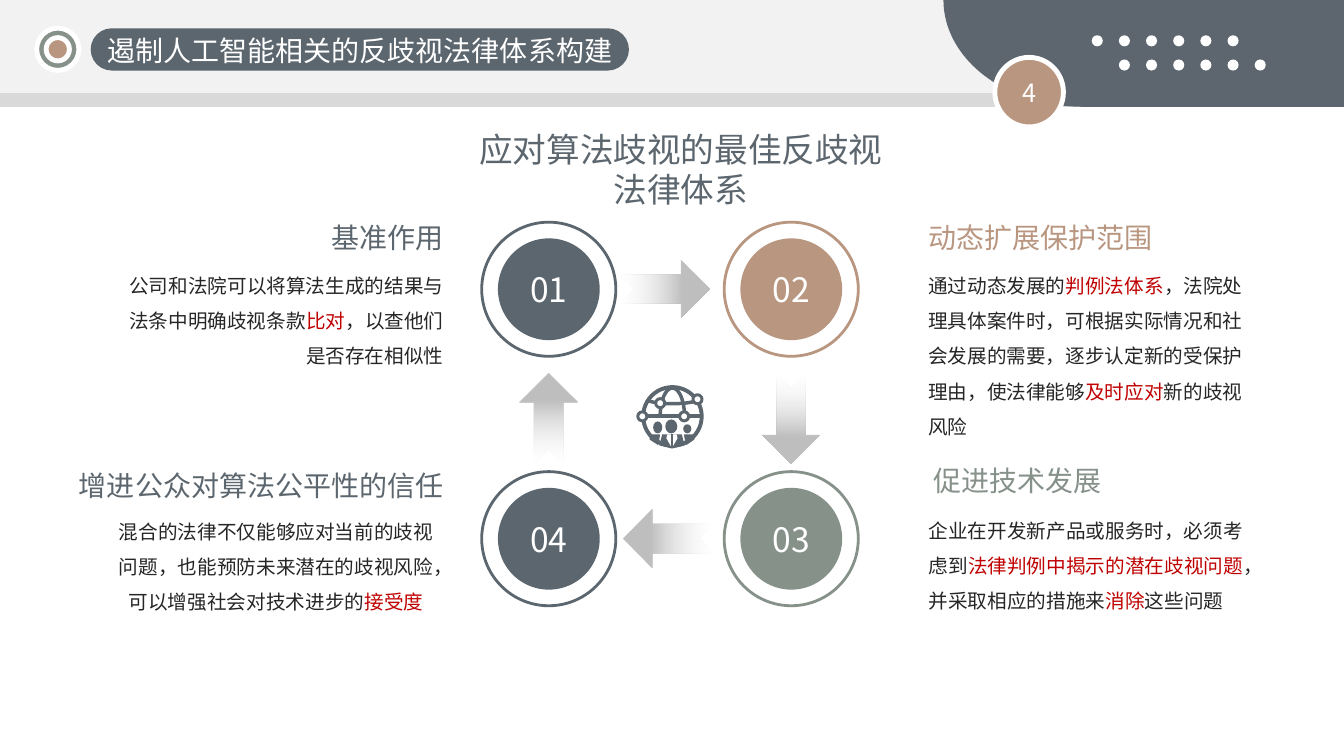
import math

from lxml import etree
from pptx import Presentation
from pptx.dml.color import RGBColor
from pptx.enum.shapes import MSO_SHAPE
from pptx.enum.text import MSO_ANCHOR, PP_ALIGN
from pptx.oxml.ns import qn
from pptx.util import Pt

OVAL, RECT, PILL = MSO_SHAPE.OVAL, MSO_SHAPE.RECTANGLE, MSO_SHAPE.ROUNDED_RECTANGLE
ARROW = MSO_SHAPE.NOTCHED_RIGHT_ARROW
LEFT, CENTER, RIGHT = PP_ALIGN.LEFT, PP_ALIGN.CENTER, PP_ALIGN.RIGHT
TOP, MIDDLE = MSO_ANCHOR.TOP, MSO_ANCHOR.MIDDLE

FONT = "Noto Sans CJK SC"
COLORS = {
    "slate": "5C666E", "corner": "5D666E", "tan": "B99680", "sage": "86918A",
    "white": "FFFFFF", "pale": "F2F2F2", "band": "D9D9D9", "ink": "262626",
    "red": "C00000", "arrow_tail": "F7F7F8", "arrow_head": "BFBFBF",
}

HEADER = "遏制人工智能相关的反歧视法律体系构建"
CHAPTER = "4"
TITLE = "应对算法歧视的最佳反歧视法律体系"

# heading, colour, heading box (left, top, width), heading alignment
HEADINGS = [
    ("基准作用", "slate", (169.9, 154.1, 154.1), RIGHT),
    ("动态扩展保护范围", "tan", (655.9, 154.1, 201.6), LEFT),
    ("促进技术发展", "sage", (659.5, 327.6, 225.4), LEFT),
    ("增进公众对算法公平性的信任", "slate", (35.3, 331.2, 288.7), RIGHT),
]
# runs (every second one is emphasised), box (left, top, width, height), alignment
BODIES = [
    (("公司和法院可以将算法生成的结果与法条中明确歧视条款", "比对",
      "，以查他们是否存在相似性"), (71.3, 183.6, 252.7, 83.5), RIGHT),
    (("通过动态发展的", "判例法体系",
      "，法院处理具体案件时，可根据实际情况和社会发展的需要，逐步认定新的受保护理由，使法律能够",
      "及时应对", "新的歧视风险"), (655.9, 183.6, 247.7, 134.6), LEFT),
    (("企业在开发新产品或服务时，必须考虑到", "法律判例中揭示的潜在歧视问题",
      "，并采取相应的措施来", "消除", "这些问题"), (656.3, 358.6, 239.8, 83.5), LEFT),
    (("混合的法律不仅能够应对当前的歧视问题，也能预防未来潜在的歧视风险，可以增强社会对技术进步的",
      "接受度"), (71.3, 359.3, 252, 83.5), CENTER),
]

# number, colour, centre
STEPS = [("01", "slate", (392, 206.6)), ("02", "tan", (565.2, 206.6)),
         ("03", "sage", (565.2, 384.8)), ("04", "slate", (392, 384.8))]
# centre, rotation
ARROWS = [((474.8, 206.6), 0), ((565.2, 299.2), 90),
          ((477.7, 384.8), 180), ((392, 299.2), 270)]

GLOBE = (480.3, 297.4)
GLOBE_NODES = [(471.6, 288), (498.2, 285.2), (458.8, 297.4), (488.7, 297.4)]
HEADS = [((469.8, 305.3), 6.5, 8.6), ((479.5, 304.6), 8.6, 10), ((490.9, 306.3), 5.8, 6.5)]
BODY_OUTLINES = [
    [(464, 310.3), (471.5, 310.3), (470.2, 318), (464, 314)],
    [(473, 310.3), (487, 310.3), (489, 318.2), (480, 320.4), (471, 318.2)],
    [(488.5, 310.3), (495.5, 310.3), (496, 314), (490, 318)],
]
SHIRT = [(476.7, 310.3), (483.3, 310.3), (484, 313), (480, 320), (476, 313)]
TIE = [(479, 310.3), (481, 310.3), (481, 320), (479, 320)]


def color(name):
    return RGBColor.from_string(COLORS[name])


def paint(shape, fill=None, line=None, weight=2):
    shape.shadow.inherit = False
    if fill:
        shape.fill.solid()
        shape.fill.fore_color.rgb = color(fill)
    else:
        shape.fill.background()
    if line:
        shape.line.color.rgb = color(line)
        shape.line.width = Pt(weight)
    else:
        shape.line.fill.background()
    return shape


def add_shape(kind, left, top, width, height, **look):
    shape = page.shapes.add_shape(kind, Pt(left), Pt(top), Pt(width), Pt(height))
    return paint(shape, **look)


def add_centred(kind, centre, width, height, **look):
    x, y = centre
    return add_shape(kind, x - width / 2, y - height / 2, width, height, **look)


def add_outline(points, closed=True, **look):
    points = [(Pt(x), Pt(y)) for x, y in points]
    builder = page.shapes.build_freeform(*points[0], scale=1.0)
    builder.add_line_segments(points[1:], close=closed)
    return paint(builder.convert_to_shape(), **look)


def arc(centre, radius_x, radius_y, start, end, steps=40):
    """Points on an ellipse between two angles in degrees."""
    angles = [math.radians(start + (end - start) * i / steps) for i in range(steps + 1)]
    return [(centre[0] + radius_x * math.cos(a), centre[1] + radius_y * math.sin(a))
            for a in angles]


def write(frame, runs, size, ink, align=CENTER, spacing=None, anchor=TOP):
    """Fill a frame with one paragraph; every second run is red."""
    frame.word_wrap = True
    frame.vertical_anchor = anchor
    para = frame.paragraphs[0]
    para.alignment = align
    if spacing:
        para.line_spacing = spacing
    for index, text in enumerate(runs):
        span = para.add_run()
        span.text = text
        span.font.size = Pt(size)
        span.font.name = FONT
        span.font.color.rgb = color("red" if index % 2 else ink)
        props = span.font._element
        props.set("lang", "zh-CN")
        etree.SubElement(props, qn("a:ea")).set("typeface", FONT)


def add_text(runs, left, top, width, height, **style):
    box = page.shapes.add_textbox(Pt(left), Pt(top), Pt(width), Pt(height))
    write(box.text_frame, runs, **style)


def add_fading_arrow(centre, rotation):
    arrow = add_centred(ARROW, centre, 64, 41)
    arrow.rotation = rotation
    arrow.fill.gradient()
    arrow.fill.gradient_angle = 0
    tail, head = arrow.fill.gradient_stops
    tail.color.rgb, tail.position = color("arrow_tail"), 0
    head.color.rgb, head.position = color("arrow_head"), 0.7
    tail_color = arrow._element.spPr.find(".//" + qn("a:srgbClr"))
    etree.SubElement(tail_color, qn("a:alpha")).set("val", "0")


def draw_header():
    add_shape(RECT, 0, 10, 876, 66.3, fill="band")
    add_shape(RECT, 0, 0, 876, 66.3, fill="pale")
    curve = arc((773.3, 0), 99.4, 76.3, 90, 180)
    add_outline([(960, 0), (960, 76.3)] + curve, fill="corner")
    for row in range(2):
        for column in range(6):
            add_shape(OVAL, 779.8 + 19.4 * (column + row), 25.2 + 17.3 * row, 7.9, 7.9,
                      fill="white")
    badge = add_shape(OVAL, 710.6, 41, 49, 49.7, fill="tan", line="white", weight=3.5)
    write(badge.text_frame, [CHAPTER], 18, "white", anchor=MIDDLE)
    pill = add_shape(PILL, 64.8, 20.2, 384.5, 30.2, fill="slate")
    pill.adjustments[0] = 0.5
    for size, fill in ((30.2, "sage"), (16.6, "tan")):
        add_centred(OVAL, (41.3, 35.2), size, size, fill=fill, line="white", weight=3.5)
    add_text([HEADER], 64.8, 20.2, 384.5, 31.7, size=20, ink="white")


def draw_globe():
    x, y = GLOBE
    add_centred(OVAL, GLOBE, 41.8, 41.8, line="slate", weight=2.8)
    add_outline(arc((x, y), 8.7, 20.2, 180, 360), closed=False, line="slate", weight=2.5)
    add_outline(arc((x, y - 12), 17.5, 3, 180, 0), closed=False, line="slate", weight=2.5)
    add_outline([(x - 20, y), (x + 20, y)], closed=False, line="slate", weight=2.8)
    for centre in GLOBE_NODES:
        add_centred(OVAL, centre, 6.5, 6.5, fill="white", line="slate", weight=2.1)
    for centre, width, height in HEADS:
        add_centred(OVAL, centre, width, height, fill="slate")
    for outline in BODY_OUTLINES:
        add_outline(outline, fill="slate")
    add_outline(SHIRT, fill="white")
    add_outline(TIE, fill="slate")


def draw_cycle():
    for centre, rotation in ARROWS:
        add_fading_arrow(centre, rotation)
    for number, tone, centre in STEPS:
        add_centred(OVAL, centre, 95.8, 95.8, line=tone)
        disc = add_centred(OVAL, centre, 72.7, 72.7, fill=tone)
        write(disc.text_frame, [number], 24, "white", anchor=MIDDLE)


deck = Presentation()
deck.slide_width, deck.slide_height = Pt(960), Pt(540)
page = deck.slides.add_slide(deck.slide_layouts[6])

draw_header()
draw_cycle()
draw_globe()
add_text([TITLE], 324, 88.6, 324.7, 65.5, size=24, ink="slate")
for heading, tone, place, align in HEADINGS:
    add_text([heading], *place, 31.7, size=20, ink=tone, align=align)
for runs, place, align in BODIES:
    add_text(runs, *place, size=14, ink="ink", align=align, spacing=1.5)

deck.save("out.pptx")
